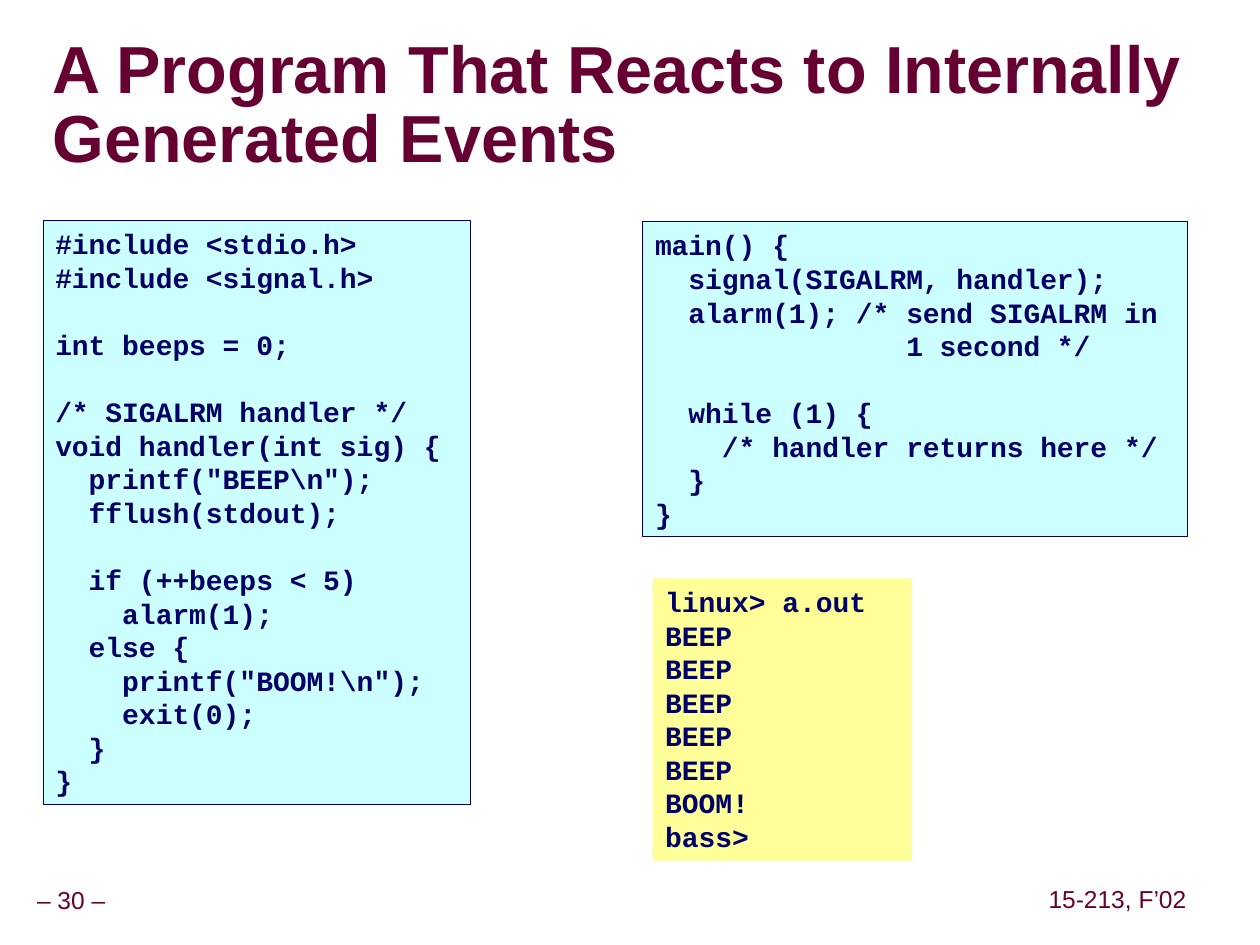
from pptx import Presentation
from pptx.dml.color import RGBColor
from pptx.enum.shapes import MSO_SHAPE
from pptx.enum.text import MSO_ANCHOR, MSO_AUTO_SIZE, PP_ALIGN
from pptx.util import Pt

MAROON, NAVY = "660033", "000066"
CODE_FILL, OUTPUT_FILL = "CCFFFF", "FFFF99"

HANDLER_CODE = r"""#include <stdio.h>
#include <signal.h>

int beeps = 0;

/* SIGALRM handler */
void handler(int sig) {
  printf("BEEP\n");
  fflush(stdout);

  if (++beeps < 5)
    alarm(1);
  else {
    printf("BOOM!\n");
    exit(0);
  }
}"""

MAIN_CODE = """main() {
  signal(SIGALRM, handler);
  alarm(1); /* send SIGALRM in
               1 second */

  while (1) {
    /* handler returns here */
  }
}"""

SESSION = ["linux> a.out"] + ["BEEP"] * 5 + ["BOOM!", "bass>"]


def color(hex_value):
    return RGBColor.from_string(hex_value)


def set_frame(frame, horizontal, vertical, anchor, wrap):
    frame.margin_left = frame.margin_right = Pt(horizontal)
    frame.margin_top = frame.margin_bottom = Pt(vertical)
    frame.vertical_anchor = anchor
    frame.word_wrap = wrap


def add_run(paragraph, text, font_name, size, hex_value, bold=False):
    run = paragraph.add_run()
    run.text = text
    run.font.name = font_name
    run.font.size = Pt(size)
    run.font.bold = bold
    run.font.color.rgb = color(hex_value)


def add_title(slide, text):
    shape = slide.shapes.add_textbox(Pt(30), Pt(18), Pt(666), Pt(86.4))
    set_frame(shape.text_frame, 0, 0, MSO_ANCHOR.MIDDLE, True)
    paragraph = shape.text_frame.paragraphs[0]
    paragraph.line_spacing = 0.87
    add_run(paragraph, text, "Arial", 38, MAROON, bold=True)


def add_footer(slide, text, left, top, width):
    shape = slide.shapes.add_textbox(Pt(left), Pt(top), Pt(width), Pt(22.3))
    set_frame(shape.text_frame, 3.6, 3.6, MSO_ANCHOR.MIDDLE, False)
    paragraph = shape.text_frame.paragraphs[0]
    paragraph.alignment = PP_ALIGN.CENTER
    paragraph.line_spacing = 0.9
    add_run(paragraph, text, "Arial", 14, MAROON)


def add_listing(slide, lines, left, top, width, height, fill, outline=None):
    shape = slide.shapes.add_shape(
        MSO_SHAPE.RECTANGLE, Pt(left), Pt(top), Pt(width), Pt(height))
    shape.shadow.inherit = False
    shape.fill.solid()
    shape.fill.fore_color.rgb = color(fill)
    if outline:
        shape.line.color.rgb = color(outline)
        shape.line.width = Pt(0.25)
    else:
        shape.line.fill.background()

    frame = shape.text_frame
    set_frame(frame, 7.2, 3.6, MSO_ANCHOR.TOP, False)
    frame.auto_size = MSO_AUTO_SIZE.SHAPE_TO_FIT_TEXT
    for index, line in enumerate(lines):
        paragraph = frame.add_paragraph() if index else frame.paragraphs[0]
        paragraph.alignment = PP_ALIGN.LEFT
        # A blank code line keeps one space so that it holds its height
        add_run(paragraph, line or " ", "Courier New", 16, NAVY, bold=True)


def main():
    presentation = Presentation()
    presentation.slide_width, presentation.slide_height = Pt(720), Pt(540)
    slide = presentation.slides.add_slide(presentation.slide_layouts[6])

    # Page number and course
    add_footer(slide, "– 30 –", -6.5, 504, 94.3)
    add_footer(slide, "15-213, F’02", 595.4, 503.3, 86.4)

    add_title(slide, "A Program That Reacts to Internally Generated Events")

    # Source code
    add_listing(slide, HANDLER_CODE.split("\n"), 24.5, 126, 244.1, 333.4,
                CODE_FILL, NAVY)
    add_listing(slide, MAIN_CODE.split("\n"), 367.2, 126.7, 311, 180,
                CODE_FILL, NAVY)

    # Terminal session
    add_listing(slide, SESSION, 373, 330.5, 148.3, 161.3, OUTPUT_FILL)

    presentation.save("out.pptx")


if __name__ == "__main__":
    main()
